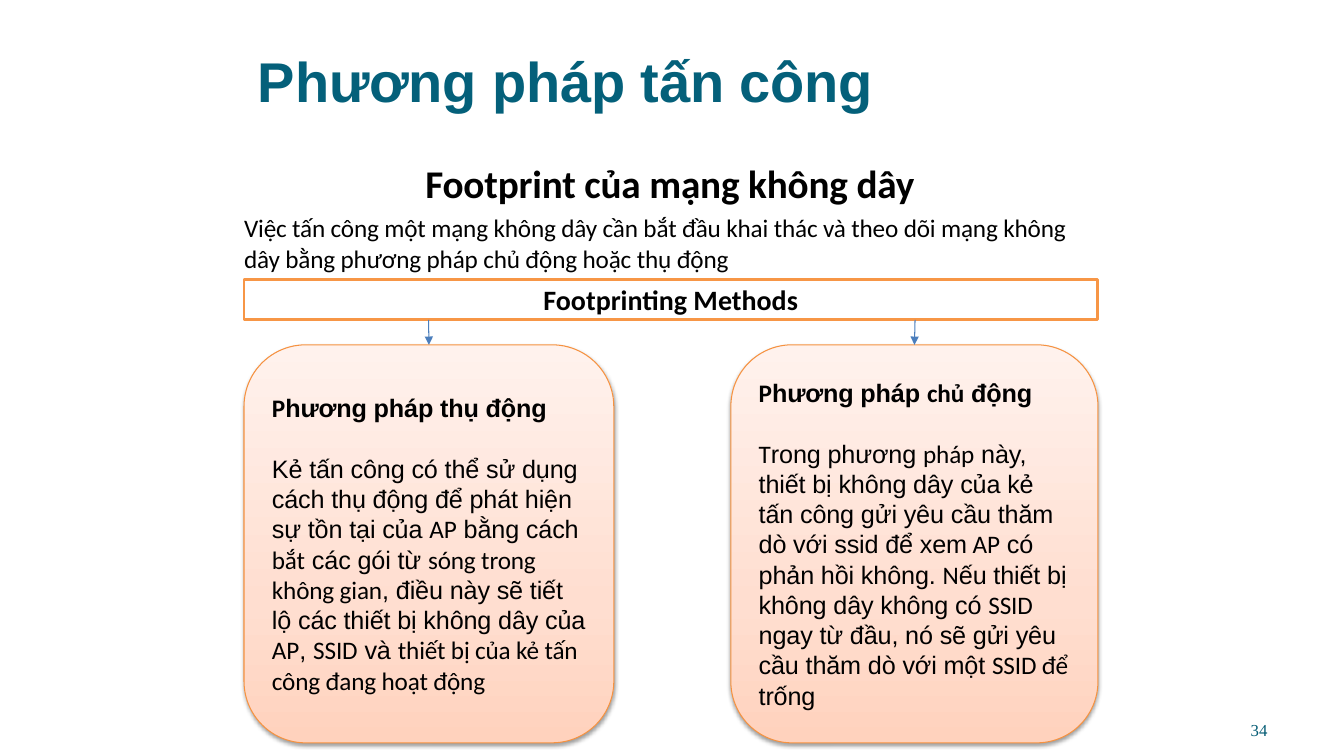
import pptx
import pptx.util
import pptx.dml.color
import pptx.enum.shapes
import pptx.enum.text
import pptx.oxml.ns
import copy
from lxml import etree

Cm, Pt = pptx.util.Cm, pptx.util.Pt
qn = pptx.oxml.ns.qn
SHAPE = pptx.enum.shapes.MSO_SHAPE
ALIGN = pptx.enum.text.PP_ALIGN
ANCHOR = pptx.enum.text.MSO_ANCHOR

# Content: card runs alternate between Calibri and Arial, Calibri first
TITLE = "Phương pháp tấn công"
HEADING = "Footprint của mạng không dây"
INTRO = ("Việc tấn công một mạng không dây cần bắt đầu khai thác và theo dõi "
         "mạng không dây bằng phương pháp chủ động hoặc thụ động")
METHODS = "Footprinting Methods"
NUMBER = "34"
FONTS = ("Calibri", "Arial")
CARDS = [
    {"left": 6.15, "width": 9.32, "start": 10.8,
     "head": ("P", "hương pháp thụ động"),
     "body": ("", "Kẻ tấn công có thể sử dụng cách thụ động để phát hiện sự tồn tại của ",
              "AP", " bằng cách ", "bắt", " các gói từ ", "sóng trong không gian",
              ", điều này sẽ tiết lộ các thiết bị không dây của ", "AP", ", ",
              "SSID", " và ", "thiết bị của kẻ tấn công đang hoạt động")},
    {"left": 18.42, "width": 9.25, "start": 23.06,
     "head": ("P", "hương pháp ", "chủ", " động"),
     "body": ("T", "rong phương ", "pháp",
              " này, thiết bị không dây của kẻ tấn công gửi yêu cầu thăm dò với ssid để xem",
              " AP", " có phản hồi không. ", "N", "ếu thiết bị không dây không có ",
              "SSID ", "ngay từ đầu, nó sẽ gửi yêu cầu thăm dò với một ",
              "SSID để ", "trống")},
]

# Layout in centimetres
LEFT, WIDTH = 6.15, 21.51
BAR_TOP, BAR_H = 7.04, 1.02
CARD_TOP, CARD_H = 8.69, 10.03
STOPS = [(0, "FFD2BD"), (0.35, "FFDED0"), (1, "FFF2ED")]


def rgb(code):
    return pptx.dml.color.RGBColor.from_string(code)


def box(left, top, width, height):
    return Cm(left), Cm(top), Cm(width), Cm(height)


def place(shape, *spot):
    shape.left, shape.top, shape.width, shape.height = box(*spot)
    return shape


def flush(frame):
    frame.margin_left = frame.margin_right = 0
    frame.margin_top = frame.margin_bottom = 0


def write(para, text, font="Calibri", size=18, color="000000", bold=False,
          align=ALIGN.LEFT, track=0):
    para.alignment = align
    run = para.add_run()
    run.text = text
    run.font.name, run.font.size, run.font.bold = font, Pt(size), bold
    run.font.color.rgb = rgb(color)
    if track:
        run.font._element.set("spc", str(track))


def mix(para, parts, **look):
    for i, part in enumerate(parts):
        if part:
            write(para, part, font=FONTS[i % 2], track=-10, **look)


def shade(shape):
    """Three-stop upward gradient with a soft shadow below."""
    shape.fill.gradient()
    stops = shape._element.spPr.find(".//" + qn("a:gsLst"))
    stops.append(copy.deepcopy(stops[0]))
    for stop, (pos, code) in zip(shape.fill.gradient_stops, STOPS):
        stop.position = pos
        stop.color.rgb = rgb(code)
    shape.fill.gradient_angle = 90
    shape.shadow.inherit = False
    glow = etree.SubElement(shape._element.spPr.find(qn("a:effectLst")), qn("a:outerShdw"),
                            blurRad="40000", dist="20000", dir="5400000", rotWithShape="0")
    tone = etree.SubElement(glow, qn("a:srgbClr"), val="000000")
    etree.SubElement(tone, qn("a:alpha"), val="38000")


def main():
    deck = pptx.Presentation()
    deck.slide_width, deck.slide_height = Cm(33.87), Cm(19.05)
    slide = deck.slides.add_slide(deck.slide_layouts[1])
    shapes = slide.shapes

    # Title and intro placeholders
    title = place(shapes.title, 6.5, 1.17, 20.85, 1.75)
    intro = place(slide.placeholders[1], LEFT, 5.36, WIDTH, 1.55)
    for shape in (title, intro):
        frame = shape.text_frame
        flush(frame)
        frame.auto_size = pptx.enum.text.MSO_AUTO_SIZE.NONE
        frame.vertical_anchor = ANCHOR.TOP
    write(title.text_frame.paragraphs[0], TITLE, font="Arial", size=40,
          color="04607A", bold=True, track=-10)
    para = intro.text_frame.paragraphs[0]
    props = para._p.get_or_add_pPr()
    props.set("marL", "0")
    props.set("indent", "0")
    etree.SubElement(props, qn("a:buNone"))
    para.space_before = 0
    write(para, INTRO, track=-10)

    # Heading
    frame = shapes.add_textbox(*box(5.59, 3.89, 22.58, 1.45)).text_frame
    frame.word_wrap = True
    write(frame.paragraphs[0], HEADING, size=28, bold=True, align=ALIGN.CENTER, track=-10)

    # Methods bar
    bar = shapes.add_shape(SHAPE.RECTANGLE, *box(LEFT, BAR_TOP, WIDTH, BAR_H))
    bar.shadow.inherit = False
    bar.fill.solid()
    bar.fill.fore_color.rgb = rgb("FFFFFF")
    bar.line.color.rgb = rgb("F79646")
    bar.line.width = Pt(2)
    bar.text_frame.vertical_anchor = ANCHOR.MIDDLE
    write(bar.text_frame.paragraphs[0], METHODS, size=20, bold=True, align=ALIGN.CENTER)

    # Cards, each with an arrow from the bar
    for item in CARDS:
        card = shapes.add_shape(SHAPE.ROUNDED_RECTANGLE,
                                *box(item["left"], CARD_TOP, item["width"], CARD_H))
        shade(card)
        card.line.color.rgb = rgb("F69240")
        card.line.width = Pt(0.75)
        frame = card.text_frame
        frame.word_wrap = True
        frame.vertical_anchor = ANCHOR.MIDDLE
        mix(frame.paragraphs[0], item["head"], bold=True)
        para = frame.add_paragraph()
        para.space_before = Pt(21.6)
        mix(para, item["body"])

        start = Cm(item["start"])
        arrow = shapes.add_connector(pptx.enum.shapes.MSO_CONNECTOR.STRAIGHT,
                                     start, Cm(BAR_TOP + BAR_H), start, Cm(CARD_TOP))
        arrow.end_connect(card, 0)
        arrow.line.color.rgb = rgb("4B7EBC")
        arrow.line.width = Pt(0.75)
        etree.SubElement(arrow.line._get_or_add_ln(), qn("a:tailEnd"), type="triangle")
        etree.SubElement(arrow._element.spPr, qn("a:effectLst"))

    # Slide number
    frame = shapes.add_textbox(*box(31.24, 18.16, 1.04, 0.51)).text_frame
    flush(frame)
    frame.word_wrap = True
    para = frame.paragraphs[0]
    para._p.get_or_add_pPr().set("marL", str(Cm(0.28)))
    para.line_spacing = Pt(14.1)
    write(para, NUMBER, font="Times New Roman", size=12, color="045C75")

    deck.save("out.pptx")


if __name__ == "__main__":
    main()
